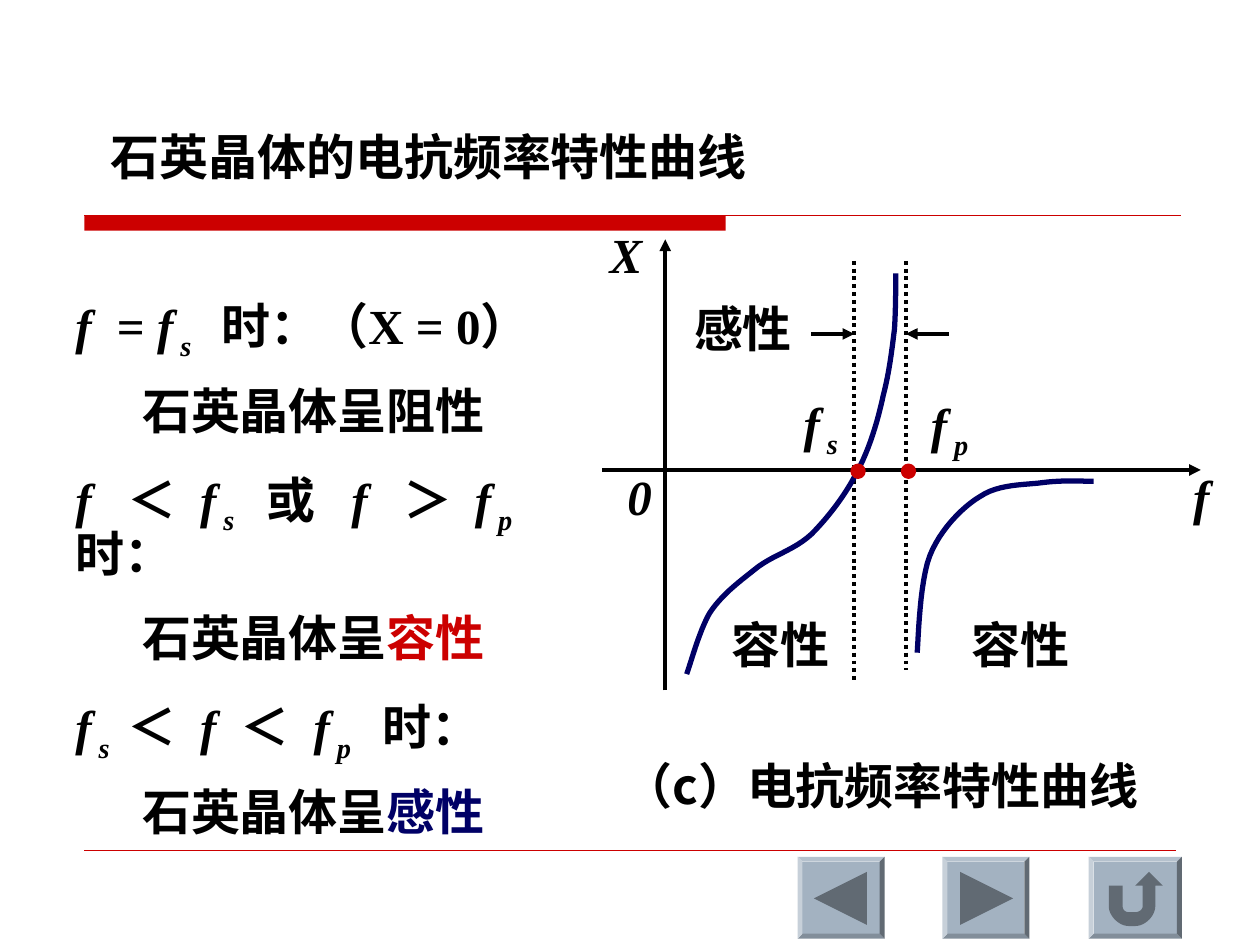
from lxml import etree
from pptx import Presentation
from pptx import util as u
from pptx.dml import color
from pptx.enum import dml, shapes, text
from pptx.oxml import ns

COLORS = {"ink": "000000", "red": "CC0000", "navy": "000066",
          "button": "A3B2C1", "icon": "616A73"}
LATIN, CJK = "Times New Roman", "Noto Sans CJK SC"

# Recurring symbols and the tab-separated signs between them
ITALIC = {"italic": True}
F = ("f", ITALIC)
SUB_S = (" s", {"italic": True, "sub": True})
SUB_P = (" p", {"italic": True, "sub": True})
LESS, MORE = ("\t＜\t", {}), ("\t＞\t", {})
WHEN = ("时：", {})
RESULT_INDENT = 0.53


def rgb(name):
    return color.RGBColor.from_string(COLORS[name])


def add_span(para, content, ink="ink", italic=False, sub=False, font=LATIN):
    span = para.add_run()
    span.text = content
    span.font.size = u.Pt(28)
    span.font.bold = True
    span.font.italic = italic
    span.font.color.rgb = rgb(ink)
    span.font.name = font
    props = span._r.get_or_add_rPr()
    etree.SubElement(props, ns.qn("a:ea"), typeface=CJK)
    if sub:
        props.set("baseline", "-25000")


def set_tabs(para, stops):
    if stops:
        tab_list = etree.SubElement(para._p.get_or_add_pPr(), ns.qn("a:tabLst"))
        for stop in stops:
            etree.SubElement(tab_list, ns.qn("a:tab"), pos=str(u.Inches(stop)), algn="l")


def add_text(page, left, top, width, height, paras, wrap=True, spacing=None):
    """Each paragraph is (spans, indent, tab stops)."""
    box = page.shapes.add_textbox(*map(u.Inches, (left, top, width, height)))
    frame = box.text_frame
    frame.word_wrap = wrap
    for index, (spans, indent, stops) in enumerate(paras):
        para = frame.add_paragraph() if index else frame.paragraphs[0]
        if spacing:
            para.line_spacing = spacing
        if index:
            para.space_before = u.Pt(17.5)
        set_tabs(para, stops)
        if indent:
            para._p.get_or_add_pPr().set("marL", str(u.Inches(indent)))
        for content, style in spans:
            add_span(para, content, **style)


def add_line(page, start, end, ink="ink", width=2.25, arrow=False, dotted=False):
    line = page.shapes.add_connector(
        shapes.MSO_CONNECTOR.STRAIGHT, *map(u.Inches, (*start, *end)))
    line.line.color.rgb = rgb(ink)
    line.line.width = u.Pt(width)
    if dotted:
        line.line.dash_style = dml.MSO_LINE.ROUND_DOT
    if arrow:
        etree.SubElement(line.line._get_or_add_ln(), ns.qn("a:tailEnd"), type="triangle")
    etree.SubElement(line._element.spPr, ns.qn("a:effectLst"))


def add_preset(page, kind, left, top, width, height, fill, outline=0):
    shape = page.shapes.add_shape(kind, *map(u.Inches, (left, top, width, height)))
    shape.shadow.inherit = False
    shape.fill.solid()
    shape.fill.fore_color.rgb = rgb(fill)
    if outline:
        shape.line.color.rgb = rgb(fill)
        shape.line.width = u.Pt(outline)
    else:
        shape.line.fill.background()
    return shape


def trace(start, steps, samples=12):
    """Points along steps: two numbers make a line, six a cubic Bézier."""
    points = [start]
    for step in steps:
        if len(step) == 2:
            points.append(step)
            continue
        x0, y0 = points[-1]
        x1, y1, x2, y2, x3, y3 = step
        for k in range(1, samples + 1):
            t = k / samples
            a, b, c, d = (1 - t) ** 3, 3 * t * (1 - t) ** 2, 3 * t * t * (1 - t), t ** 3
            points.append((a * x0 + b * x1 + c * x2 + d * x3,
                           a * y0 + b * y1 + c * y2 + d * y3))
    return points


def add_outline(page, start, steps, fill=None, ink=None):
    points = [(u.Inches(x), u.Inches(y)) for x, y in trace(start, steps)]
    builder = page.shapes.build_freeform(*points[0], scale=1.0)
    builder.add_line_segments(points[1:], close=bool(fill))
    shape = builder.convert_to_shape()
    shape.shadow.inherit = False
    if fill:
        shape.fill.solid()
        shape.fill.fore_color.rgb = rgb(fill)
        shape.line.fill.background()
    else:
        shape.fill.background()
        shape.line.color.rgb = rgb(ink)
        shape.line.width = u.Pt(3)


def add_button(page, left, width, start, steps):
    bevel = add_preset(page, shapes.MSO_SHAPE.BEVEL, left, 6.8, width, 0.65, "button")
    bevel.adjustments[0] = 0.06
    add_outline(page, start, steps, fill="icon")


def add_frame(page):
    # Title rule and footer rule
    add_preset(page, shapes.MSO_SHAPE.RECTANGLE, 0.67, 1.71, 5.09, 0.12, "red")
    add_line(page, (0.67, 1.71), (9.37, 1.71), "red", 0.75)
    add_line(page, (0.67, 6.75), (9.33, 6.75), "red", 0.25)
    # Navigation buttons: back, forward, return
    add_button(page, 6.33, 0.69, (6.46, 7.13), [(6.88, 6.92), (6.88, 7.34)])
    add_button(page, 7.48, 0.69, (7.62, 6.92), [(8.04, 7.13), (7.62, 7.34)])
    add_button(page, 8.64, 0.74, (8.8, 7.03), [
        (8.91, 7.03), (8.91, 7.19), (8.91, 7.22, 8.93, 7.24, 8.96, 7.24),
        (9.01, 7.24), (9.04, 7.24, 9.07, 7.22, 9.07, 7.19), (9.07, 7.03),
        (9.01, 7.03), (9.12, 6.92), (9.23, 7.03), (9.17, 7.03), (9.17, 7.19),
        (9.17, 7.27, 9.09, 7.35, 9.01, 7.35), (8.96, 7.35),
        (8.88, 7.35, 8.8, 7.27, 8.8, 7.19)])


def add_graph(page):
    # Axes, frequency limits and the arrows pointing at them
    add_line(page, (5.28, 5.48), (5.28, 1.9), arrow=True)
    add_line(page, (4.78, 3.73), (9.53, 3.73), arrow=True)
    for x, bottom, tail in ((6.78, 5.4, 6.44), (7.19, 5.32, 7.53)):
        add_line(page, (x, 2.07), (x, bottom), dotted=True)
        add_line(page, (tail, 2.65), (x, 2.65), arrow=True)
    # Reactance curves
    add_outline(page, (7.28, 5.18), [
        (7.29, 5.05, 7.3, 4.62, 7.38, 4.41), (7.46, 4.21, 7.63, 4.03, 7.78, 3.94),
        (7.93, 3.84, 8.13, 3.85, 8.28, 3.83), (8.43, 3.81, 8.59, 3.82, 8.68, 3.82)],
        ink="navy")
    add_outline(page, (5.45, 5.35), [
        (5.48, 5.27, 5.55, 5.01, 5.63, 4.87), (5.72, 4.73, 5.85, 4.63, 5.99, 4.52),
        (6.12, 4.41, 6.3, 4.37, 6.44, 4.24), (6.57, 4.11, 6.71, 3.93, 6.8, 3.75),
        (6.9, 3.57, 6.97, 3.33, 7.01, 3.14), (7.06, 2.95, 7.08, 2.77, 7.1, 2.61),
        (7.11, 2.44, 7.11, 2.26, 7.11, 2.17)], ink="navy")
    for left in (6.77, 7.17):
        add_preset(page, shapes.MSO_SHAPE.OVAL, left, 3.7, 0.08, 0.08, "red", 3)
    # Axis, frequency and region labels
    for left, top, width, height, spans in (
            (6.28, 3.07, 0.75, 0.63, [F, SUB_S]),
            (7.29, 3.08, 0.5, 0.63, [F, SUB_P]),
            (9.37, 3.65, 0.38, 0.63, [F]),
            (4.74, 1.73, 0.46, 0.57, [("X", ITALIC)]),
            (4.88, 3.65, 0.39, 0.57, [("0", ITALIC)])):
        add_text(page, left, top, width, height, [(spans, 0, ())], wrap=width > 0.6)
    for left, top, label in ((7.61, 4.83, "容性"), (5.71, 4.83, "容性"), (5.41, 2.32, "感性")):
        add_text(page, left, top, 1.15, 0.57, [([(label, {})], 0, ())])
    add_text(page, 4.85, 5.95, 4.9, 0.57,
             [([("（c）电抗频率特性曲线", {"font": CJK})], 0, ())])


def result(label, ink="ink"):
    return [("石英晶体呈", {}), (label, {"ink": ink})], RESULT_INDENT, ()


def add_conditions(page):
    add_text(page, 0.5, 2.3, 4.11, 4.43, [
        ([F, ("\t= ", {}), F, SUB_S, ("\t时：（X = 0）", {})], 0, (0.33, 1.16)),
        result("阻性"),
        ([F, LESS, F, SUB_S, ("\t或\t", {}), F, MORE, F, SUB_P, (" ", {}), WHEN],
         0, (0.41, 0.99, 1.52, 2.19, 2.6, 3.17)),
        result("容性", "red"),
        ([F, SUB_S, LESS, F, LESS, F, SUB_P, ("\t", {}), WHEN],
         0, (0.41, 0.99, 1.31, 1.89, 2.44)),
        result("感性", "navy")], spacing=0.9)


def main():
    deck = Presentation()
    deck.slide_width, deck.slide_height = u.Inches(10), u.Inches(7.5)
    page = deck.slides.add_slide(deck.slide_layouts[6])
    add_frame(page)
    add_graph(page)
    add_text(page, 0.08, 1.01, 6.2, 0.94,
             [([("石英晶体的电抗频率特性曲线", {})], 0.7, ())], spacing=0.9)
    add_conditions(page)
    deck.save("out.pptx")


if __name__ == "__main__":
    main()
